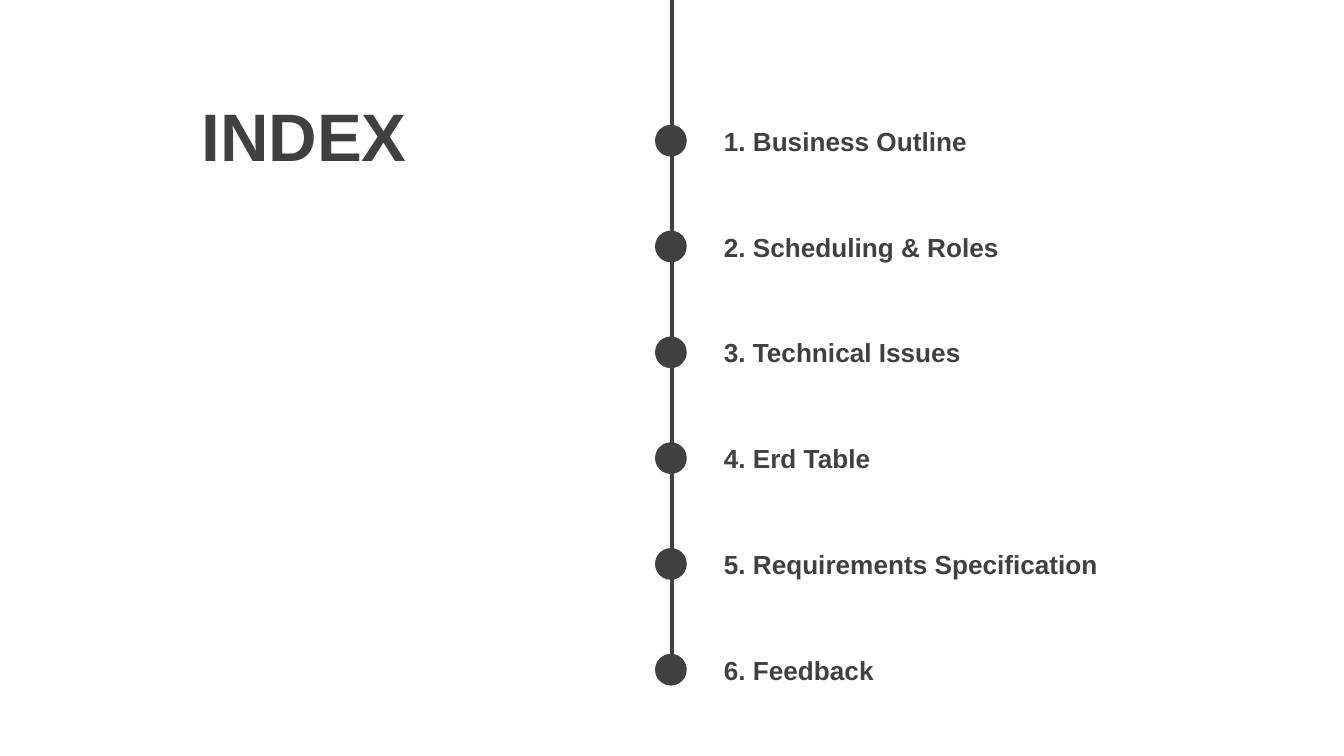
from pptx import Presentation
from pptx.dml.color import RGBColor
from pptx.enum.shapes import MSO_CONNECTOR, MSO_SHAPE
from pptx.enum.text import MSO_ANCHOR, MSO_AUTO_SIZE, PP_ALIGN
from pptx.oxml.ns import qn
from pptx.util import Cm, Pt
from lxml.etree import SubElement

COLORS = {"ink": "404040", "paper": "FFFFFF"}
TOPICS = [
    "Business Outline",
    "Scheduling & Roles",
    "Technical Issues",
    "Erd Table",
    "Requirements Specification",
    "Feedback",
]


class Deck:
    """Holds the style and the current slide."""

    def __init__(self, slide):
        self.slide = slide
        self.ink = RGBColor.from_string(COLORS["ink"])
        self.font = {"name": "Arial", "bold": True}
        fill = slide.background.fill
        fill.solid()
        fill.fore_color.rgb = RGBColor.from_string(COLORS["paper"])

    def text(self, words, box, size, **frame):
        area = self.slide.shapes.add_textbox(*map(Cm, box)).text_frame
        align = frame.pop("align", PP_ALIGN.LEFT)
        for key, value in {"word_wrap": True, **frame}.items():
            setattr(area, key, value)
        para = area.paragraphs[0]
        para.alignment = align
        run = para.add_run()
        run.text = words
        for key, value in {**self.font, "size": Pt(size)}.items():
            setattr(run.font, key, value)
        run.font.color.rgb = self.ink

    def line(self, start, end, width):
        line = self.slide.shapes.add_connector(
            MSO_CONNECTOR.STRAIGHT, *map(Cm, start + end))
        line.line.width = Pt(width)
        line.line.color.rgb = self.ink
        SubElement(line.element.spPr, qn("a:effectLst"))

    def dot(self, left, top, size):
        dot = self.slide.shapes.add_shape(
            MSO_SHAPE.FLOWCHART_CONNECTOR, *map(Cm, (left, top, size, size)))
        dot.shadow.inherit = False
        dot.fill.solid()
        dot.fill.fore_color.rgb = self.ink
        dot.line.fill.background()


def main():
    show = Presentation()
    show.slide_width, show.slide_height = Cm(25.4), Cm(14.29)
    deck = Deck(show.slides.add_slide(show.slide_layouts[6]))

    # Title
    deck.text("INDEX", (0, 1.75, 11.5, 1.6), 36, align=PP_ALIGN.CENTER,
              vertical_anchor=MSO_ANCHOR.MIDDLE)

    # Timeline
    deck.line((12.7, 0), (12.7, 12.73), 2)

    # Topics, each with its dot
    first, step = 2.36, 2
    for row, topic in enumerate(TOPICS):
        top = first + row * step
        deck.dot(12.38, top, 0.6)
        deck.text(f"{row + 1}. {topic}", (13.43, top - 0.12, 9.8, 0.86), 14,
                  auto_size=MSO_AUTO_SIZE.SHAPE_TO_FIT_TEXT)

    show.save("out.pptx")


if __name__ == "__main__":
    main()
